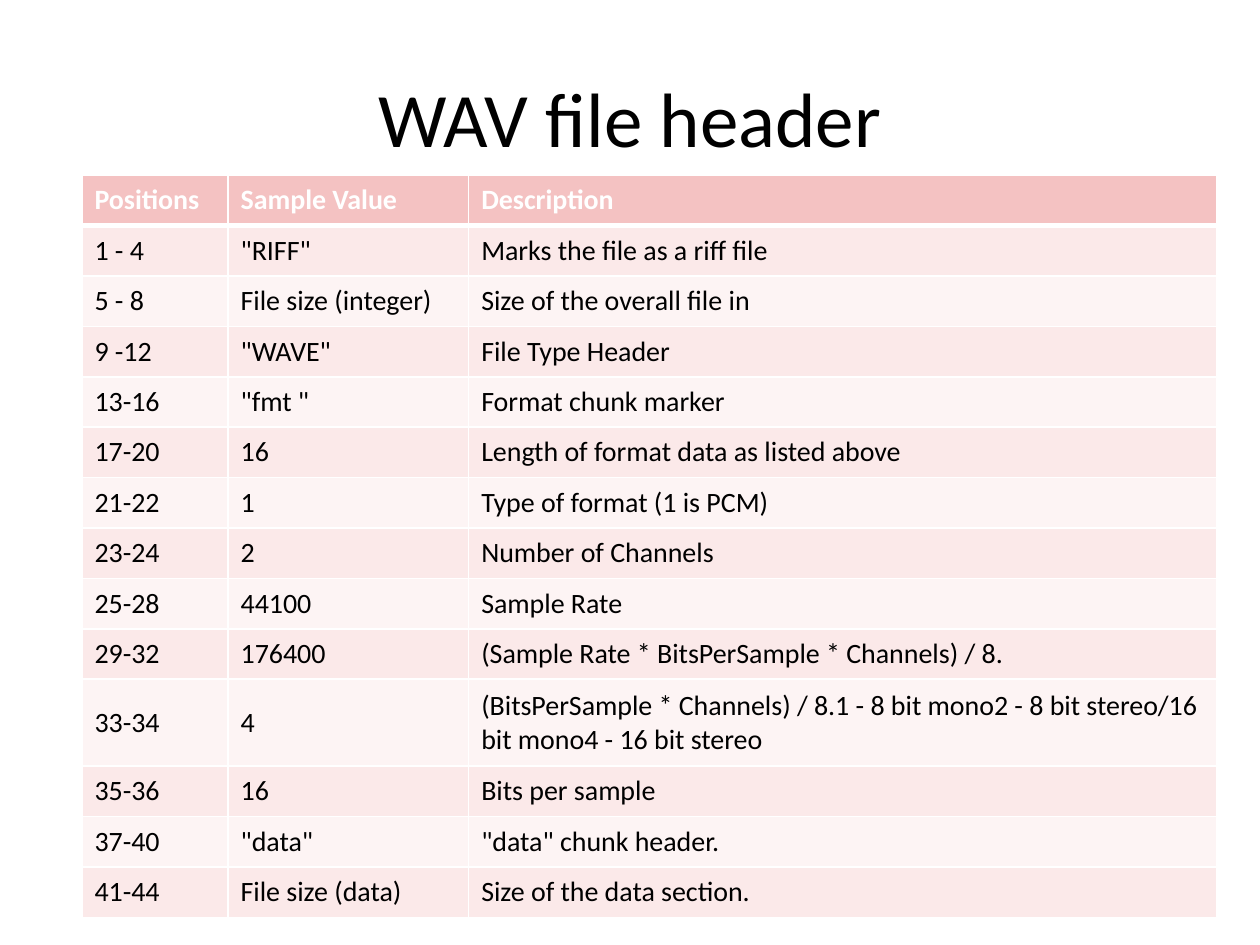
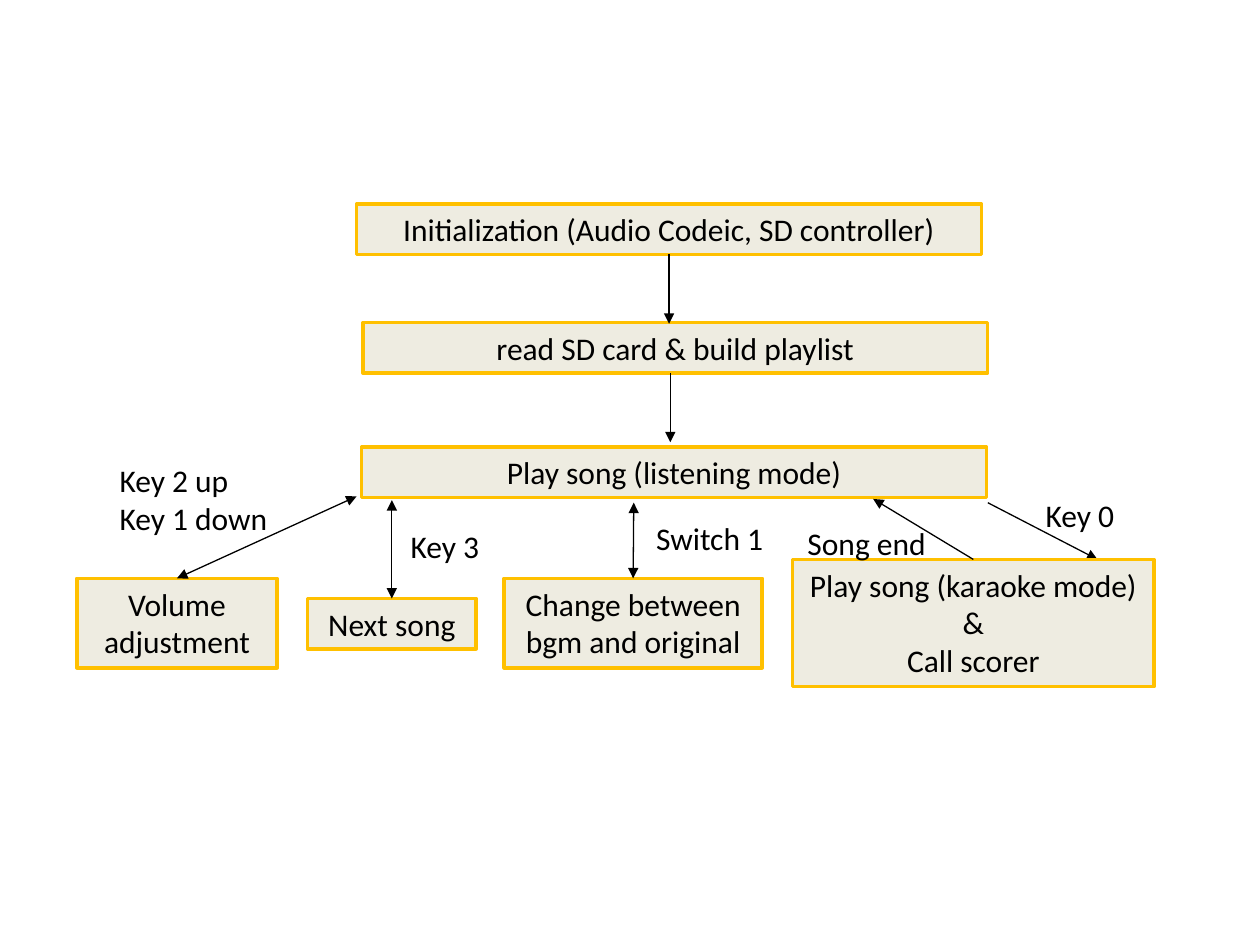
from lxml.etree import SubElement
from pptx import Presentation
from pptx.dml.color import RGBColor
from pptx.enum.shapes import MSO_CONNECTOR, MSO_SHAPE
from pptx.enum.text import MSO_ANCHOR, PP_ALIGN
from pptx.oxml.ns import qn
from pptx.util import Inches, Pt

COLORS = {"text": "000000", "white": "FFFFFF", "header": "F4C2C2",
          "odd": "FBE9E9", "even": "FDF4F4", "box": "EEECE1", "border": "FFC000"}
FONT = "Calibri"


def write(tf, text, size, color="text", bold=False, align=PP_ALIGN.LEFT):
    tf.text = text
    for p in tf.paragraphs:
        p.alignment = align
        for r in p.runs:
            r.font.name = FONT
            r.font.size = Pt(size)
            r.font.bold = bold
            r.font.color.rgb = RGBColor.from_string(COLORS[color])


def add_arrow(shapes, start, end, double=False):
    line = shapes.add_connector(MSO_CONNECTOR.STRAIGHT, *map(Inches, start + end))
    line.line.color.rgb = RGBColor.from_string(COLORS["text"])
    line.line.width = Pt(0.75)
    ln = line.line._get_or_add_ln()
    for tag in ["a:headEnd", "a:tailEnd"] if double else ["a:tailEnd"]:
        SubElement(ln, qn(tag), type="triangle")
    SubElement(line._element.spPr, qn("a:effectLst"))
    return line


prs = Presentation()
prs.slide_width, prs.slide_height = Inches(10), Inches(7.5)

# Slide 1: title
s = prs.slides.add_slide(prs.slide_layouts[5])
title = s.shapes.title
title.left, title.top, title.width, title.height = map(Inches, (0.5, 0.3, 9, 1.25))
title.text_frame.vertical_anchor = MSO_ANCHOR.MIDDLE
write(title.text_frame, "WAV file header", 44, align=PP_ALIGN.CENTER)

# Slide 1: header table
rows = [
    ("Positions", "Sample Value", "Description"),
    ("1 - 4", '"RIFF"', "Marks the file as a riff file"),
    ("5 - 8", "File size (integer)", "Size of the overall file in"),
    ("9 -12", '"WAVE"', "File Type Header"),
    ("13-16", '"fmt "', "Format chunk marker"),
    ("17-20", "16", "Length of format data as listed above"),
    ("21-22", "1", "Type of format (1 is PCM)"),
    ("23-24", "2", "Number of Channels"),
    ("25-28", "44100", "Sample Rate"),
    ("29-32", "176400", "(Sample Rate * BitsPerSample * Channels) / 8."),
    ("33-34", "4", "(BitsPerSample * Channels) / 8.1 - 8 bit mono2 - "
                   "8 bit stereo/16 bit mono4 - 16 bit stereo"),
    ("35-36", "16", "Bits per sample"),
    ("37-40", '"data"', '"data" chunk header.'),
    ("41-44", "File size (data)", "Size of the data section."),
]
table = s.shapes.add_table(len(rows), 3, Inches(0.65), Inches(1.39),
                           Inches(9.01), Inches(5.91)).table
for column, width in zip(table.columns, (1.16, 1.91, 5.94)):
    column.width = Inches(width)
for i, row in enumerate(rows):
    table.rows[i].height = Inches(0.69 if row[0] == "33-34" else 0.4)
    fill = "header" if i == 0 else "odd" if i % 2 else "even"
    for j, text in enumerate(row):
        cell = table.cell(i, j)
        cell.vertical_anchor = MSO_ANCHOR.MIDDLE
        write(cell.text_frame, text, 16, "text" if i else "white", bold=i == 0)
        # White rules, thicker below the heading row
        tcPr = cell._tc.get_or_add_tcPr()
        for side in "LRTB":
            thick = (i, side) in [(0, "B"), (1, "T")]
            ln = SubElement(tcPr, qn(f"a:ln{side}"), w=str(Pt(3 if thick else 1)))
            SubElement(SubElement(ln, qn("a:solidFill")), qn("a:srgbClr"),
                       val=COLORS["white"])
        cell.fill.solid()
        cell.fill.fore_color.rgb = RGBColor.from_string(COLORS[fill])

# Slide 2: the arrow to karaoke mode lies behind the boxes
s = prs.slides.add_slide(prs.slide_layouts[6])
add_arrow(s.shapes, (7.84, 3.99), (8.71, 4.44))

# Slide 2: boxes
boxes = {}
for name, text, *place in [
    ("init", "Initialization (Audio Codeic, SD controller)", 2.83, 1.62, 4.96, 0.4),
    ("read", "read SD card & build playlist", 2.88, 2.56, 4.96, 0.4),
    ("listen", "Play song (listening mode)", 2.87, 3.55, 4.96, 0.4),
    ("karaoke", "Play song (karaoke mode)\n&\nCall scorer", 6.29, 4.44, 2.87, 1.01),
    ("next", "Next song", 2.44, 4.75, 1.34, 0.4),
    ("change", "Change between\nbgm and original", 4, 4.59, 2.05, 0.71),
    ("volume", "Volume adjustment", 0.61, 4.59, 1.59, 0.71),
]:
    sp = s.shapes.add_shape(MSO_SHAPE.RECTANGLE, *map(Inches, place))
    sp.shadow.inherit = False
    sp.fill.solid()
    sp.fill.fore_color.rgb = RGBColor.from_string(COLORS["box"])
    sp.line.color.rgb = RGBColor.from_string(COLORS["border"])
    sp.line.width = Pt(2)
    sp.text_frame.word_wrap = True
    sp.text_frame.vertical_anchor = MSO_ANCHOR.TOP
    write(sp.text_frame, text, 18, align=PP_ALIGN.CENTER)
    boxes[name] = sp

# Slide 2: arrows, joined where they meet the middle of a side
add_arrow(s.shapes, (5.31, 2.02), (5.31, 2.57)).begin_connect(boxes["init"], 2)
add_arrow(s.shapes, (5.32, 2.96), (5.32, 3.51))
add_arrow(s.shapes, (7.72, 4.44), (6.93, 3.96)).begin_connect(boxes["karaoke"], 0)
for name, start, end in [
    ("change", (5.03, 3.99), (5.03, 4.59)),
    ("next", (3.11, 3.97), (3.11, 4.75)),
    ("volume", (2.83, 3.94), (1.4, 4.59)),
]:
    add_arrow(s.shapes, start, end, double=True).end_connect(boxes[name], 0)

# Slide 2: key labels
for text, *place in [
    ("Key 0", 8.2, 3.89, 0.75, 0.4),
    ("Switch 1", 5.11, 4.07, 1.06, 0.4),
    ("Key 3", 3.16, 4.13, 0.75, 0.4),
    ("Key 2 up\nKey 1 down", 0.85, 3.61, 1.39, 0.71),
    ("Song end", 6.31, 4.11, 1.15, 0.4),
]:
    tf = s.shapes.add_textbox(*map(Inches, place)).text_frame
    tf.word_wrap = False
    write(tf, text, 18)

prs.save("out.pptx")
